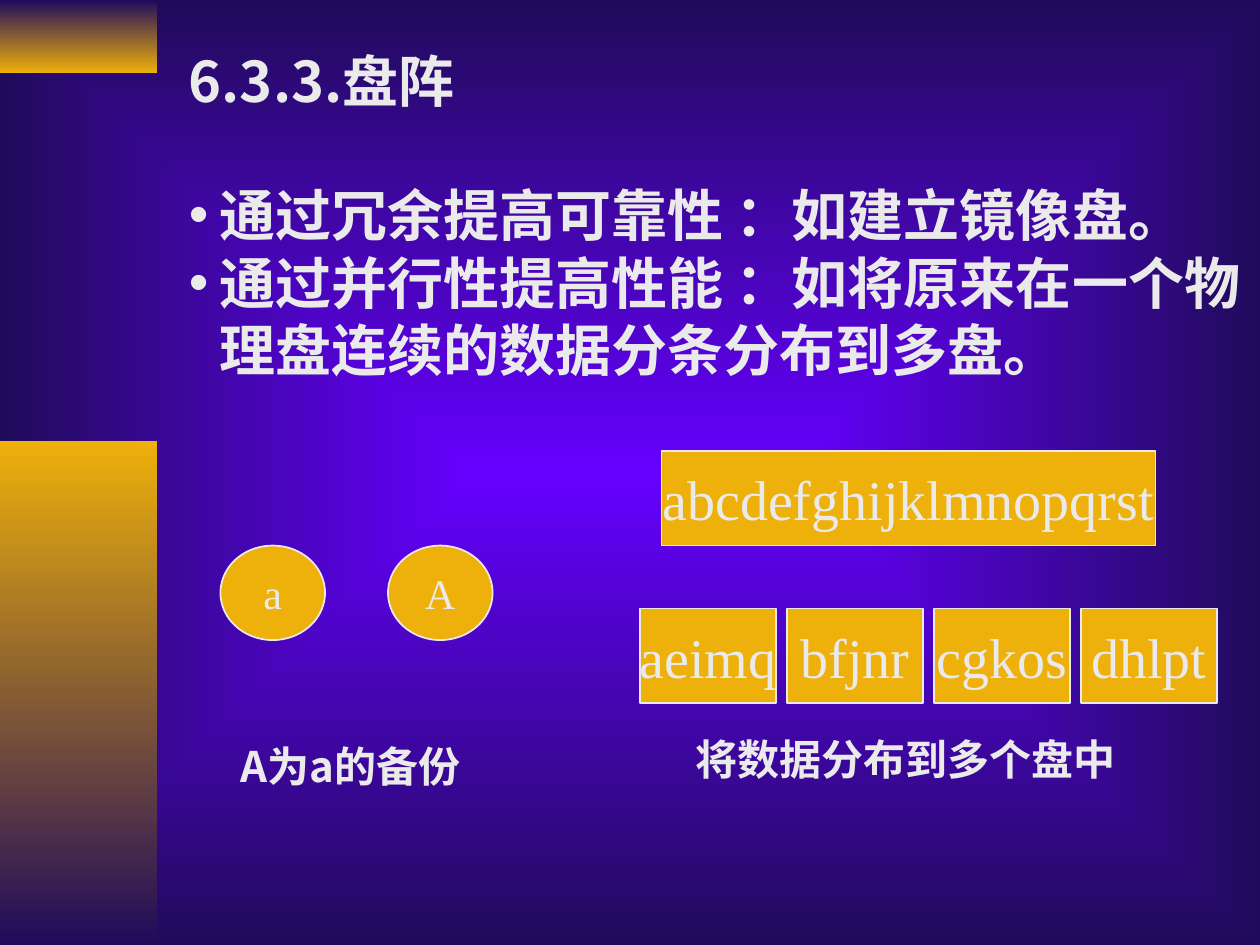
from lxml import etree
from pptx import Presentation
from pptx import util as u
from pptx.dml.color import RGBColor
from pptx.enum import shapes, text
from pptx.oxml import ns

HUES = {"gold": "EEB00B", "night": "200B5B", "violet": "6600FF", "pale": "EAEAEA"}
CJK, SERIF = "Noto Sans CJK SC", "Times New Roman"
RECT, OVAL = shapes.MSO_SHAPE.RECTANGLE, shapes.MSO_SHAPE.OVAL


def hue(name):
    return RGBColor.from_string(HUES[name])


def box(left, top, width, height):
    return [u.Inches(n) for n in (left, top, width, height)]


def sub(node, tag, **attrs):
    return etree.SubElement(node, ns.qn(tag), attrs)


def write(frame, words, size=24, font=CJK, bold=False, bullet=False,
          gap=0, pitch=None, align=text.PP_ALIGN.LEFT, first=True):
    """Put one formatted paragraph in a text frame."""
    para = frame.paragraphs[0] if first else frame.add_paragraph()
    para.alignment = align
    para.space_before = u.Pt(gap)
    if pitch:
        para.line_spacing = u.Pt(pitch)
    if bullet:
        props = para._p.get_or_add_pPr()
        props.set("marL", str(u.Inches(0.24)))
        props.set("indent", str(-u.Inches(0.24)))
        tint = sub(props, "a:buClr")
        sub(tint, "a:srgbClr", val=HUES["pale"])
        sub(props, "a:buFont", typeface="Arial")
        sub(props, "a:buChar", char="•")
    run = para.add_run()
    run.text = words
    run.font.size, run.font.bold, run.font.name = u.Pt(size), bold, font
    run.font.color.rgb = hue("pale")
    sub(run._r.get_or_add_rPr(), "a:ea", typeface=CJK)


def blend(fill, start, end):
    fill.gradient()
    for stop, name in zip(fill.gradient_stops, (start, end)):
        stop.color.rgb = hue(name)


def backdrop(slide):
    """Violet glow that darkens towards the edges."""
    fill = slide.background.fill
    blend(fill, "violet", "night")
    grad = slide.element.find(".//" + ns.qn("a:gradFill"))
    grad.remove(grad.find(ns.qn("a:lin")))
    glow = sub(grad, "a:path", path="rect")
    sub(glow, "a:fillToRect", l="50000", t="50000", r="50000", b="50000")


def band(slide, top, height, start, end):
    """Gradient bar on the left edge."""
    bar = slide.shapes.add_shape(RECT, *box(0, top, 1.25, height))
    bar.shadow.inherit = False
    bar.line.fill.background()
    blend(bar.fill, start, end)
    bar.fill.gradient_angle = 270


def label(slide, left, top, width, height):
    area = slide.shapes.add_textbox(*box(left, top, width, height))
    area.text_frame.word_wrap = True
    return area.text_frame


def block(slide, kind, words, left, top, width, size):
    """Gold shape that stands for data on a disk."""
    part = slide.shapes.add_shape(kind, *box(left, top, width, 0.75))
    part.shadow.inherit = False
    part.fill.solid()
    part.fill.fore_color.rgb = hue("gold")
    part.line.color.rgb = hue("pale")
    part.line.width = u.Pt(1)
    frame = part.text_frame
    frame.word_wrap = False
    frame.vertical_anchor = text.MSO_ANCHOR.MIDDLE
    write(frame, words, size=size, font=SERIF, align=text.PP_ALIGN.CENTER)


def body(slide, left, top, width, height):
    """Heading and bullets."""
    frame = label(slide, left, top, width, height)
    pitch = 38.4
    form = dict(size=32, bold=True, pitch=pitch)
    write(frame, "6.3.3.盘阵", **form)
    write(frame, "通过冗余提高可靠性 ：如建立镜像盘。",
          bullet=True, gap=pitch, first=False, **form)
    write(frame, "通过并行性提高性能 ：如将原来在一个物理盘连续的数据分条分布到多盘。",
          bullet=True, first=False, **form)


def mirror(slide, left, top):
    """A disk and its backup."""
    for i, name in enumerate("aA"):
        block(slide, OVAL, name, left + i * 1.33, top, 0.83, 24)
    frame = label(slide, left + 0.06, top + 1.5, 2.1, 0.9)
    write(frame, "A为a的备份", bold=True, pitch=28.8)


def stripe(slide, left, top):
    """One run of data dealt out over four disks."""
    data, disks = "abcdefghijklmnopqrst", 4
    block(slide, RECT, data, left + 0.17, top, 3.92, 32)
    for i in range(disks):
        block(slide, RECT, data[i::disks], left + i * 3.5 / 3, top + 1.25, 1.08, 32)
    frame = label(slide, left + 0.34, top + 2.19, 3.53, 0.5)
    write(frame, "将数据分布到多个盘中", font=SERIF, bold=True, pitch=28.8)


def main():
    deck = Presentation()
    deck.slide_width, deck.slide_height = u.Inches(10), u.Inches(7.5)
    slide = deck.slides.add_slide(deck.slide_layouts[6])
    backdrop(slide)
    band(slide, 0, 0.58, "night", "gold")
    band(slide, 3.5, 4, "gold", "night")
    body(slide, 1.4, 0.32, 8.6, 2.77)
    mirror(slide, 1.75, 4.33)
    stripe(slide, 5.08, 3.58)
    deck.save("out.pptx")


if __name__ == "__main__":
    main()
